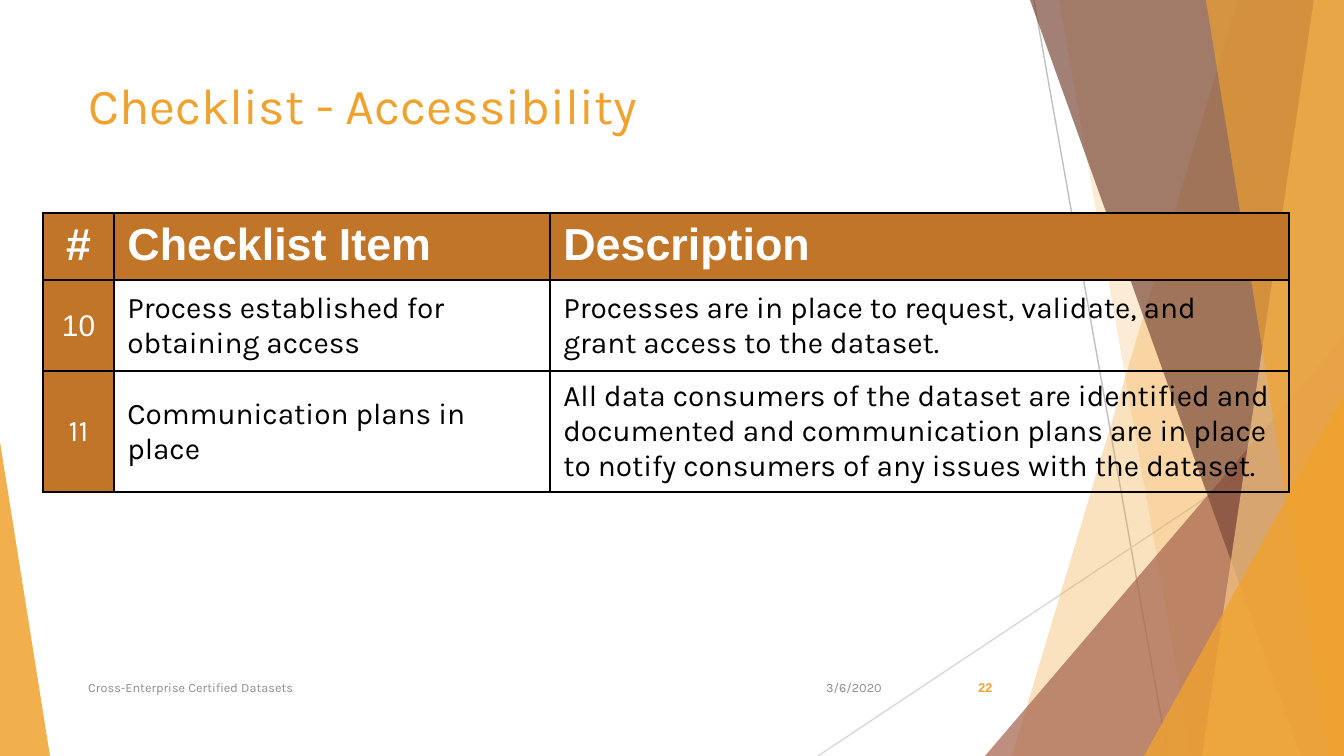
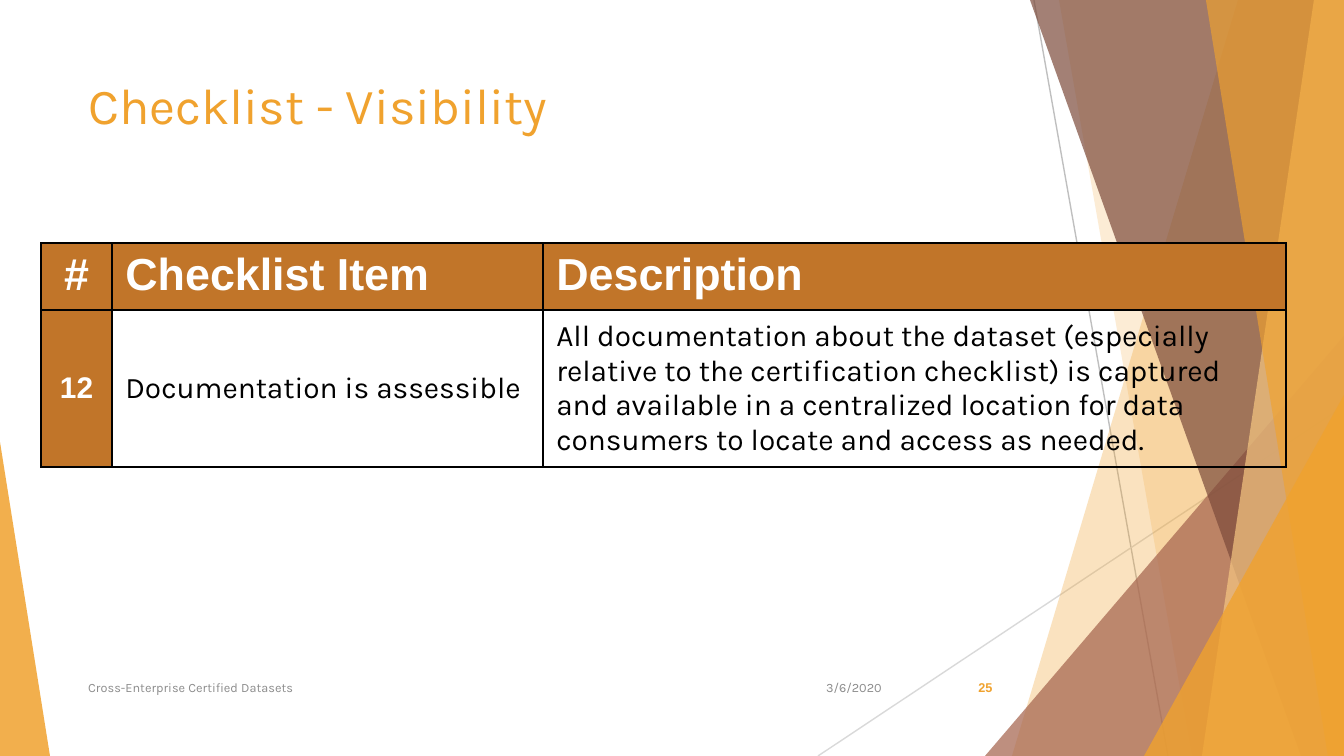
"""Build two checklist slides with a faceted backdrop, a table and a footer."""
from lxml import etree
from pptx import Presentation
from pptx import util as u
from pptx.dml import color
from pptx.enum import shapes, text
from pptx.oxml import ns

PX = 6804
W, H = 1344, 756
ORANGE, RUST, BLACK, WHITE, GREY = "F0A22E", "C17529", "000000", "FFFFFF", "8C8C8C"
LEFT, CENTER, RIGHT = text.PP_ALIGN.LEFT, text.PP_ALIGN.CENTER, text.PP_ALIGN.RIGHT
TOP, MIDDLE = text.MSO_ANCHOR.TOP, text.MSO_ANCHOR.MIDDLE
rgb = color.RGBColor.from_string

LINES = [(1034, 0, 1168, H, "BFBFBF"), (W, 406, 818, H, "D9D9D9")]
FACETS = [
    ("band", 1238, 1012, ORANGE, 30),
    ("band", 1059, 1192, ORANGE, 20),
    ("triangle", 985, 336, 359, 1, "A5644E", 72),
    ("band", 1030, 1301, "7C4B3B", 70),
    ("band", 1314, 1202, "F6C782", 70),
    ("band", 1206, 1328, ORANGE, 65),
    ("triangle", 1144, 395, 200, 1, ORANGE, 80),
    ("triangle", 0, 442, 50, 0, ORANGE, 85),
]
HEADER = ["#", "Checklist Item", "Description"]
SLIDES = [
    {
        "title": "Checklist - Accessibility", "number": "22",
        "at": (43, 213), "cols": (71, 436, 739), "rows": (63, 91, 119),
        "items": [
            ("10", "Arial", False, "Process established for obtaining access",
             "Processes are in place to request, validate, and grant access to the dataset."),
            ("11", "Karla", False, "Communication plans in place",
             "All data consumers of the dataset are identified and documented and "
             "communication plans are in place to notify consumers of any issues "
             "with the dataset."),
        ],
    },
    {
        "title": "Checklist - Visibility", "number": "25",
        "at": (41, 243), "cols": (71, 431, 743), "rows": (63, 154),
        "items": [
            ("12", "Arial", True, "Documentation is assessible",
             "All documentation about the dataset (especially relative to the "
             "certification checklist) is captured and available in a centralized "
             "location for data consumers to locate and access as needed."),
        ],
    },
]


def write(tf, words, size, font, hue, bold=False, align=LEFT):
    p = tf.paragraphs[0]
    p.alignment = align
    r = p.add_run()
    r.text = words
    r.font.size = u.Pt(size)
    r.font.name = font
    r.font.bold = bold
    r.font.color.rgb = rgb(hue)


def fill_cell(cell, words, size, font, hue, bold, align, anchor, fill):
    cell.vertical_anchor = anchor
    write(cell.text_frame, words, size, font, hue, bold, align)
    if fill:
        cell.fill.solid()
        cell.fill.fore_color.rgb = rgb(fill)
    else:
        cell.fill.background()
    tc_pr = cell._tc.get_or_add_tcPr()
    for i, side in enumerate(("a:lnL", "a:lnR", "a:lnT", "a:lnB")):
        ln = etree.Element(ns.qn(side), w=str(u.Pt(1)))
        solid = etree.SubElement(ln, ns.qn("a:solidFill"))
        etree.SubElement(solid, ns.qn("a:srgbClr"), val=BLACK)
        tc_pr.insert(i, ln)


prs = Presentation()
prs.slide_width, prs.slide_height = W * PX, H * PX

for page in SLIDES:
    s = prs.slides.add_slide(prs.slide_layouts[6])

    for x1, y1, x2, y2, hue in LINES:
        line = s.shapes.add_connector(
            shapes.MSO_CONNECTOR.STRAIGHT, x1 * PX, y1 * PX, x2 * PX, y2 * PX)
        line.line.color.rgb = rgb(hue)
        line.line.width = u.Pt(0.75)
        etree.SubElement(line._element.spPr, ns.qn("a:effectLst"))

    for kind, *place, hue, alpha in FACETS:
        if kind == "band":
            top_x, bottom_x = place
            ff = s.shapes.build_freeform(top_x, 0, scale=PX)
            ff.add_line_segments([(W, 0), (W, H), (bottom_x, H)], close=True)
            sp = ff.convert_to_shape()
        else:
            x, y, w, apex = place
            sp = s.shapes.add_shape(
                shapes.MSO_SHAPE.ISOSCELES_TRIANGLE, x * PX, y * PX, w * PX, (H - y) * PX)
            sp.adjustments[0] = apex
        sp.shadow.inherit = False
        sp.line.fill.background()
        sp.fill.solid()
        sp.fill.fore_color.rgb = rgb(hue)
        clr = sp._element.spPr.find(ns.qn("a:solidFill"))[0]
        etree.SubElement(clr, ns.qn("a:alpha"), val=str(alpha * 1000))

    for x, y, w, h, anchor, *style in (
        (75, 67, 972, 145, TOP, page["title"], 27, "Karla", ORANGE),
        (948, 667, 75, 40, MIDDLE, page["number"], 6.8, "Arial", ORANGE, True, CENTER),
        (794, 667, 101, 40, MIDDLE, "3/6/2020", 6.8, "Karla", GREY, False, RIGHT),
        (75, 667, 695, 40, MIDDLE, "Cross-Enterprise Certified Datasets", 6.8, "Karla", GREY),
    ):
        tf = s.shapes.add_textbox(x * PX, y * PX, w * PX, h * PX).text_frame
        tf.word_wrap = True
        tf.vertical_anchor = anchor
        write(tf, *style)

    x, y = page["at"]
    cols, rows = page["cols"], page["rows"]
    table = s.shapes.add_table(
        len(rows), len(cols), x * PX, y * PX, sum(cols) * PX, sum(rows) * PX).table
    table.horz_banding = False
    for col, w in zip(table.columns, cols):
        col.width = w * PX
    for row, h in zip(table.rows, rows):
        row.height = h * PX
    for c, label in enumerate(HEADER):
        fill_cell(table.cell(0, c), label, 24, "Arial", WHITE, True,
                  LEFT if c else CENTER, TOP, RUST)
    for n, (number, font, bold, *texts) in enumerate(page["items"], 1):
        fill_cell(table.cell(n, 0), number, 16, font, WHITE, bold, CENTER, MIDDLE, RUST)
        for c, words in enumerate(texts, 1):
            fill_cell(table.cell(n, c), words, 16, "Karla", BLACK, False, LEFT, MIDDLE, None)

prs.save("out.pptx")
